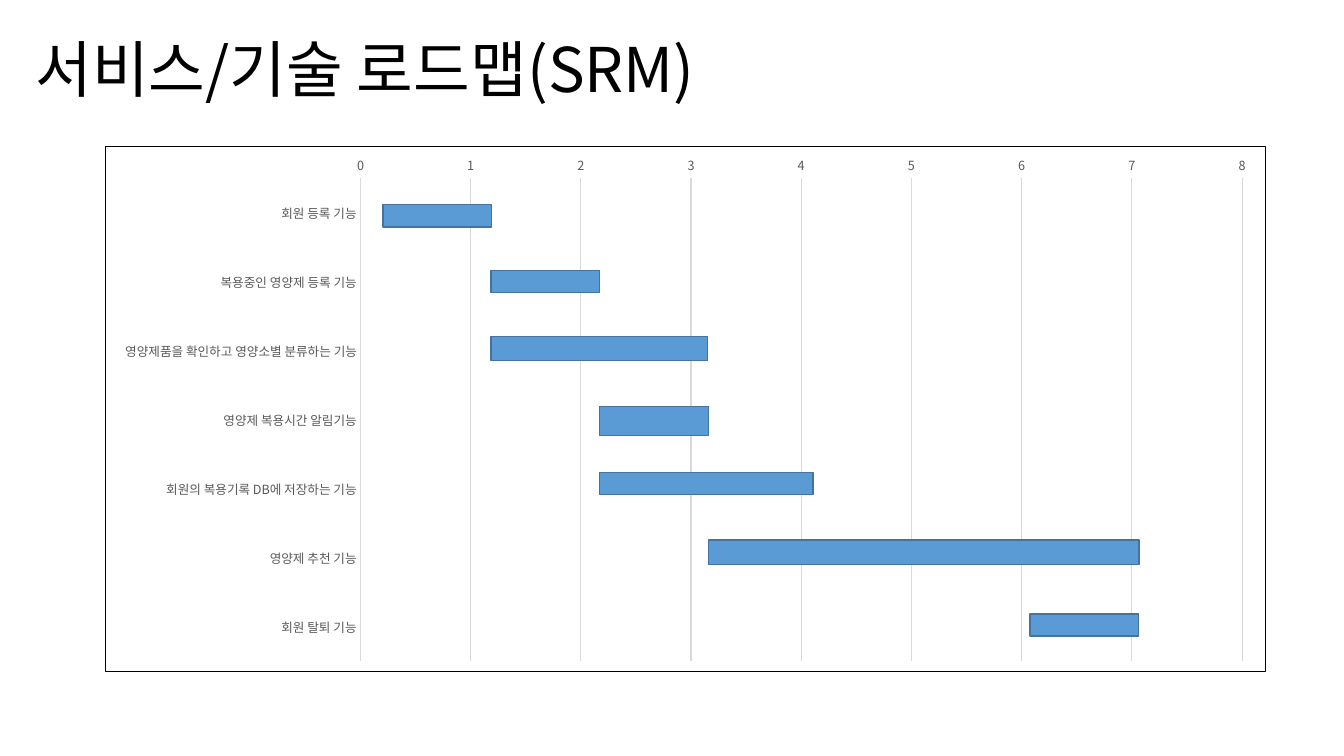
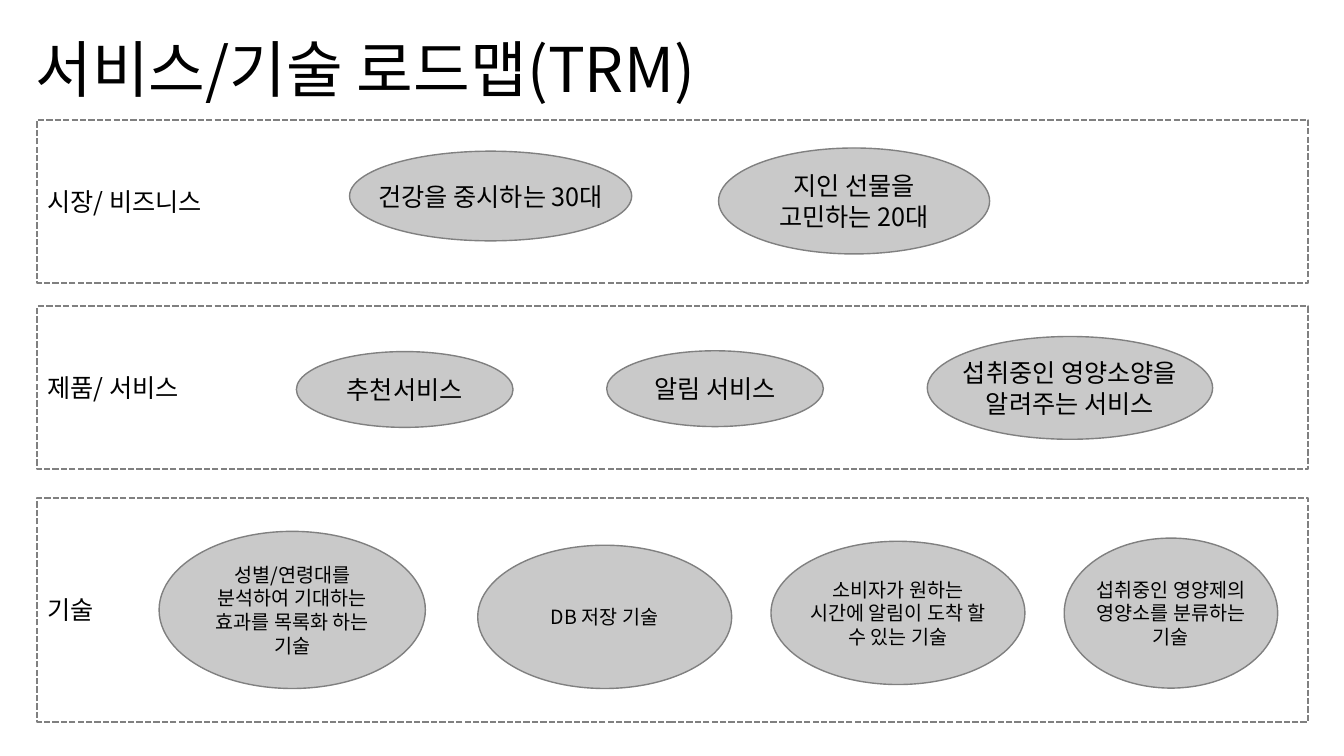
from lxml import etree
from pptx import Presentation
from pptx import util as u
from pptx.chart import data as chart_data
from pptx.dml import color
from pptx.enum import chart as charts, dml, shapes, text
from pptx.oxml import ns, parse_xml

FONT = "Noto Sans CJK KR"
BLACK = color.RGBColor(0x00, 0x00, 0x00)
AXIS_TEXT = color.RGBColor(0x59, 0x59, 0x59)
GRID = color.RGBColor(0xD9, 0xD9, 0xD9)
BAR_FILL = color.RGBColor(0x5B, 0x9B, 0xD5)
BAR_LINE = color.RGBColor(0x43, 0x73, 0x9E)
OVAL_FILL = color.RGBColor(0xC9, 0xC9, 0xC9)
OUTLINE = color.RGBColor(0x80, 0x80, 0x80)

# Centimetres throughout: left, top, width, height
SLIDE_SIZE = (33.87, 19.05)
TITLE_BOX = (0.64, 0, 29.21, 3.68)
CHART_BOX = (2.64, 3.68, 29.26, 13.26)
# Plot area as fractions of the chart
PLOT = {"x": 0.22, "y": 0.06, "w": 0.76, "h": 0.92}

SERVICE_TITLE = "서비스/기술 로드맵(SRM)"
# Task, axis value, bar box
TASKS = [
    ("회원 등록 기능", 0, (9.65, 5.16, 2.74, 0.56)),
    ("복용중인 영양제 등록 기능", 0, (12.37, 6.81, 2.74, 0.56)),
    ("영양제품을 확인하고 영양소별 분류하는 기능", 0, (12.37, 8.48, 5.46, 0.61)),
    ("영양제 복용시간 알림기능", 0, (15.11, 10.24, 2.74, 0.74)),
    ("회원의 복용기록 DB에 저장하는 기능", 0, (15.11, 11.91, 5.38, 0.56)),
    ("영양제 추천 기능", 0, (17.86, 13.61, 10.85, 0.61)),
    ("회원 탈퇴 기능", 7, (25.96, 15.47, 2.74, 0.56)),
]

TECH_TITLE = "서비스/기술 로드맵(TRM)"
BAND_LEFT, BAND_WIDTH = 0.94, 32.03
# Band name, top, height, label size, ovals (label, box, label width, label lines)
BANDS = [
    ("시장/ 비즈니스", 3.02, 4.11, 18, [
        ("건강을 중시하는 30대", (8.81, 3.81, 7.11, 2.26), 7.19, 1),
        ("지인 선물을 고민하는 20대", (18.11, 3.73, 6.83, 2.67), 5.74, 2),
    ]),
    ("제품/ 서비스", 7.72, 4.11, 18, [
        ("추천서비스", (7.47, 8.86, 5.46, 1.91), 4.29, 1),
        ("알림 서비스", (15.29, 8.84, 5.46, 1.91), 4.29, 1),
        ("섭취중인 영양소양을 알려주는 서비스", (23.37, 8.48, 7.19, 2.59), 6.73, 2),
    ]),
    ("기술", 12.55, 5.64, 14, [
        ("성별/연령대를 분석하여 기대하는 효과를 목록화 하는 기술",
         (4.01, 13.39, 6.71, 3.96), 4.6, 4),
        ("DB 저장 기술", (12.04, 13.74, 6.4, 3.61), 3.78, 1),
        ("소비자가 원하는 시간에 알림이 도착 할 수 있는 기술",
         (19.43, 13.64, 6.4, 3.61), 5.08, 3),
        ("섭취중인 영양제의 영양소를 분류하는 기술",
         (26.82, 13.56, 5.38, 3.78), 5.23, 3),
    ]),
]


def lengths(box):
    """Turn a box in centimetres into slide lengths."""
    return [u.Cm(value) for value in box]


def style_font(font, size, ink=BLACK):
    """Set size, colour and the Latin and East Asian typeface."""
    font.size = u.Pt(size)
    font.color.rgb = ink
    font.name = FONT
    east_asian = etree.Element(ns.qn("a:ea"), typeface=FONT)
    font._rPr.find(ns.qn("a:latin")).addnext(east_asian)


def write(shape, words, size, align, spacing=None):
    """Write one vertically centred paragraph into a shape."""
    frame = shape.text_frame
    frame.text = words
    frame.word_wrap = True
    frame.auto_size = text.MSO_AUTO_SIZE.NONE
    frame.vertical_anchor = text.MSO_ANCHOR.MIDDLE
    para = frame.paragraphs[0]
    para.alignment = align
    para.line_spacing = spacing
    for span in para.runs:
        style_font(span.font, size)


def add_page(deck, title):
    """Add a title-only slide with the shared title style."""
    page = deck.slides.add_slide(deck.slide_layouts[5])
    holder = page.shapes.title
    holder.left, holder.top, holder.width, holder.height = lengths(TITLE_BOX)
    write(holder, title, 44, text.PP_ALIGN.LEFT, 0.9)
    return page


def add_outlined(parent, kind, box, fill, line, weight=1):
    """Add a flat preset shape; a fill of None leaves it open."""
    shape = parent.add_shape(kind, *lengths(box))
    shape.shadow.inherit = False
    if fill is None:
        shape.fill.background()
    else:
        shape.fill.solid()
        shape.fill.fore_color.rgb = fill
    shape.line.color.rgb = line
    shape.line.width = u.Pt(weight)
    return shape


def frame_chart(chart):
    """Fix the plot area and give the chart a thin black border."""
    settings = "".join(f'<c:{key}Mode val="edge"/>' for key in "xy")
    settings += "".join(f'<c:{key} val="{part}"/>' for key, part in PLOT.items())
    layout = parse_xml(
        f'<c:layout {ns.nsdecls("c")}><c:manualLayout><c:layoutTarget val="inner"/>'
        f"{settings}</c:manualLayout></c:layout>")
    space = chart._chartSpace
    plot_area = space.chart.plotArea
    for old in plot_area.findall(ns.qn("c:layout")):
        plot_area.remove(old)
    plot_area.insert(0, layout)
    space.chart.addnext(parse_xml(
        f'<c:spPr {ns.nsdecls("c", "a")}><a:noFill/><a:ln w="9525"><a:solidFill>'
        f'<a:srgbClr val="{BLACK}"/></a:solidFill></a:ln></c:spPr>'))


def add_timeline(page):
    """Add the chart that gives the task names and the time scale."""
    numbers = chart_data.CategoryChartData()
    numbers.categories = [name for name, _, _ in TASKS]
    numbers.add_series("Series 1", [value for _, value, _ in TASKS])
    chart = page.shapes.add_chart(
        charts.XL_CHART_TYPE.BAR_CLUSTERED, *lengths(CHART_BOX), numbers).chart
    chart.has_title = False
    chart.has_legend = False
    style_font(chart.font, 10)
    plot = chart.plots[0]
    plot.gap_width = 182
    plot.vary_by_categories = False
    plot.series[0].format.fill.background()

    names, scale = chart.category_axis, chart.value_axis
    names.reverse_order = True
    scale.minimum_scale, scale.maximum_scale, scale.major_unit = 0, 8, 1
    scale.has_major_gridlines = True
    scale.format.line.fill.background()
    for axis in (names, scale):
        axis.major_tick_mark = charts.XL_TICK_MARK.NONE
        axis.minor_tick_mark = charts.XL_TICK_MARK.NONE
        style_font(axis.tick_labels.font, 9, AXIS_TEXT)
    for line in (names.format.line, scale.major_gridlines.format.line):
        line.color.rgb = GRID
        line.width = u.Pt(0.75)
    frame_chart(chart)


def add_oval(page, words, box, label_width, lines, size):
    """Group an oval with a label centred on it."""
    left, top, width, height = box
    label_height = 0.25 + 0.043 * size * lines
    group = page.shapes.add_group_shape().shapes
    add_outlined(group, shapes.MSO_SHAPE.OVAL, box, OVAL_FILL, OUTLINE)
    label = group.add_textbox(*lengths((
        left + (width - label_width) / 2, top + (height - label_height) / 2,
        label_width, label_height)))
    write(label, words, size, text.PP_ALIGN.CENTER)


def build_service_roadmap(deck):
    """Build the slide with the service schedule."""
    page = add_page(deck, SERVICE_TITLE)
    add_timeline(page)
    for _, _, box in TASKS:
        add_outlined(page.shapes, shapes.MSO_SHAPE.RECTANGLE, box, BAR_FILL, BAR_LINE)


def build_technology_roadmap(deck):
    """Build the slide with the market, product and technology bands."""
    page = add_page(deck, TECH_TITLE)
    for name, top, height, size, ovals in BANDS:
        band = add_outlined(page.shapes, shapes.MSO_SHAPE.RECTANGLE,
                            (BAND_LEFT, top, BAND_WIDTH, height), None, OUTLINE, 1.5)
        band.line.dash_style = dml.MSO_LINE.SQUARE_DOT
        write(band, name, 18, text.PP_ALIGN.LEFT)
        for words, box, label_width, lines in ovals:
            add_oval(page, words, box, label_width, lines, size)


deck = Presentation()
deck.slide_width, deck.slide_height = lengths(SLIDE_SIZE)
build_service_roadmap(deck)
build_technology_roadmap(deck)
deck.save("out.pptx")
